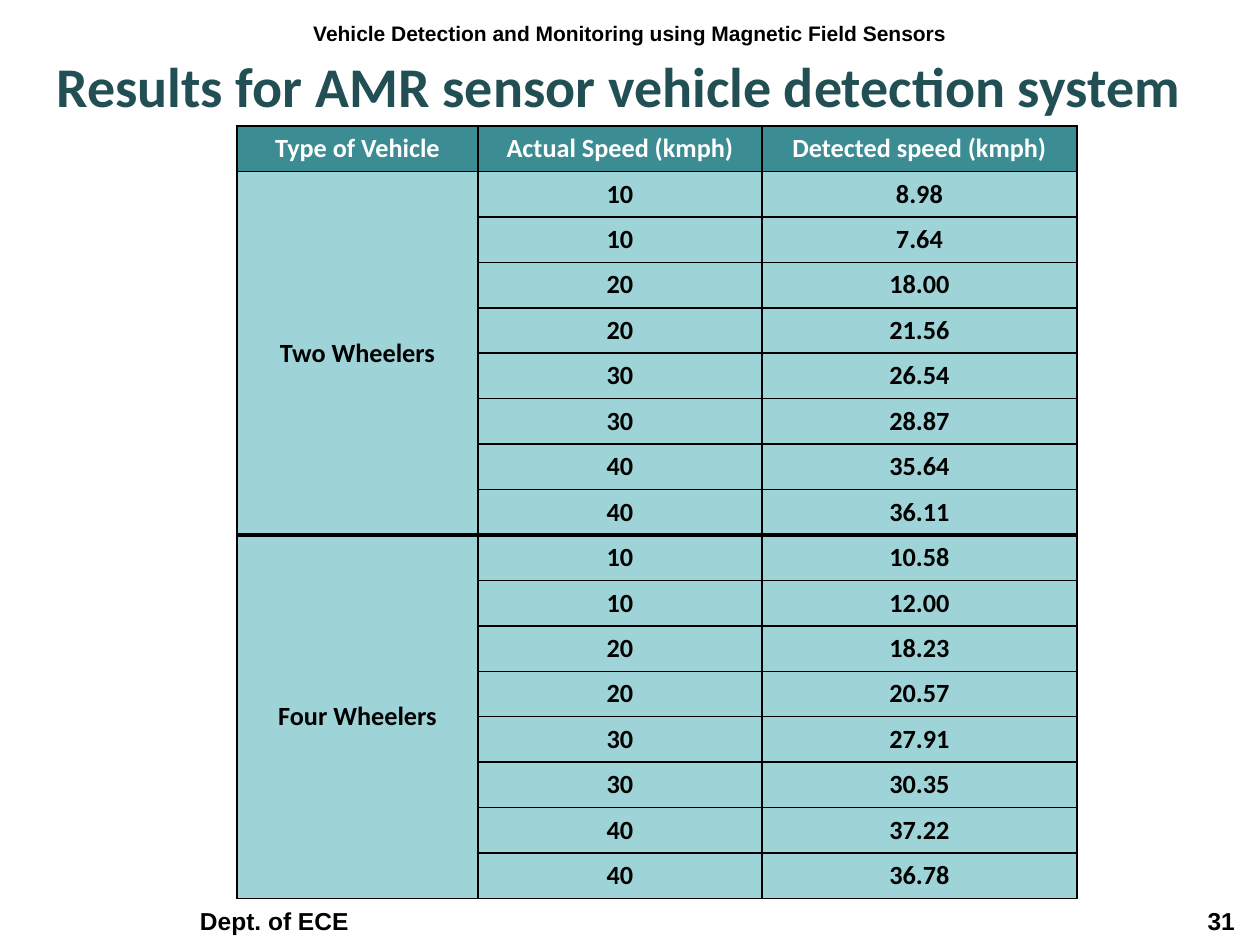
from lxml import etree
from pptx import Presentation
from pptx import util as u
from pptx.dml.color import RGBColor
from pptx.enum import text
from pptx.oxml.ns import qn

SCALE = 914400 // 126
HEADS = ["Type of Vehicle", "Actual Speed (kmph)", "Detected speed (kmph)"]
SPEEDS = [10, 10, 20, 20, 30, 30, 40, 40]
GROUPS = {
    "Two Wheelers": ["8.98", "7.64", "18.00", "21.56", "26.54", "28.87", "35.64", "36.11"],
    "Four Wheelers": ["10.58", "12.00", "18.23", "20.57", "27.91", "30.35", "37.22", "36.78"],
}
WIDTHS = [241, 284, 315]
ROW = 45.46


def px(num):
    return u.Emu(round(num * SCALE))


def color(code):
    return RGBColor.from_string(code)


def write(frame, words, size, face, code, align):
    frame.text = words
    para = frame.paragraphs[0]
    para.alignment = align
    for run in para.runs:
        font = run.font
        font.size, font.name, font.bold = u.Pt(size), face, True
        font.color.rgb = color(code)
    return para


def place(shape, left, top, width, height):
    shape.left, shape.top = px(left), px(top)
    shape.width, shape.height = px(width), px(height)


def add_title(slide):
    title = slide.shapes.title
    place(title, 44, 43, 1187, 84)
    frame = title.text_frame
    frame.word_wrap = True
    frame.auto_size = text.MSO_AUTO_SIZE.NONE
    frame.vertical_anchor = text.MSO_ANCHOR.MIDDLE
    write(frame, "Results for AMR sensor vehicle detection system",
          32, "Calibri", "214F53", text.PP_ALIGN.LEFT)


def add_text(slide, top, words, size, align):
    box = slide.shapes.add_textbox(0, px(top), px(1260), px(50))
    frame = box.text_frame
    frame.word_wrap = True
    return frame, write(frame, words, size, "Arial", "000000", align)


def add_header(slide):
    para = add_text(slide, 14, "Vehicle Detection and Monitoring using Magnetic Field Sensors",
                    12, text.PP_ALIGN.CENTER)[1]
    para.space_before = u.Pt(2.4)


def add_footer(slide):
    frame, para = add_text(slide, 892, "Dept. of ECE\t31", 14, text.PP_ALIGN.LEFT)
    frame.vertical_anchor = text.MSO_ANCHOR.BOTTOM
    frame.margin_left, frame.margin_right = px(200), 0
    tabs = etree.SubElement(para._p.get_or_add_pPr(), qn("a:tabLst"))
    etree.SubElement(tabs, qn("a:tab"), pos=str(px(1035)), algn="r")


def add_edge(cell, side, width):
    line = etree.Element(qn("a:" + side), w=str(u.Pt(width)))
    fill = etree.SubElement(line, qn("a:solidFill"))
    etree.SubElement(fill, qn("a:srgbClr"), val="000000")
    return line


def style(cell, row, heavy):
    cell.fill.solid()
    cell.fill.fore_color.rgb = color("9ED3D7" if row else "3C8C93")
    cell.vertical_anchor = text.MSO_ANCHOR.MIDDLE
    edges = {"lnL": 1, "lnR": 1,
             "lnT": 2.25 if row == heavy + 1 else 1,
             "lnB": 2.25 if row == heavy else 1}
    props = cell._tc.get_or_add_tcPr()
    for spot, (side, width) in enumerate(edges.items()):
        props.insert(spot, add_edge(cell, side, width))


def add_grid(slide):
    step = len(SPEEDS)
    rows = [HEADS]
    for name, found in GROUPS.items():
        for spot, (speed, value) in enumerate(zip(SPEEDS, found)):
            rows.append(["" if spot else name, str(speed), value])
    grid = slide.shapes.add_table(len(rows), len(HEADS), px(237), px(126),
                                  px(sum(WIDTHS)), px(ROW * len(rows))).table
    for col, width in zip(grid.columns, WIDTHS):
        col.width = px(width)
    for row, words in enumerate(rows):
        grid.rows[row].height = px(ROW)
        for col, word in enumerate(words):
            cell = grid.cell(row, col)
            write(cell.text_frame, word, 15, "Calibri",
                  "000000" if row else "FFFFFF", text.PP_ALIGN.CENTER)
            end = step * -(-row // step) if col == 0 else row
            style(cell, row, step if end == step or row > step else step)
    for first in range(1, len(rows), step):
        grid.cell(first, 0).merge(grid.cell(first + step - 1, 0))
        props = grid.cell(first, 0)._tc.tcPr
        if first == 1:
            props.find(qn("a:lnB")).set("w", str(u.Pt(2.25)))


def main():
    deck = Presentation()
    deck.slide_width, deck.slide_height = px(1260), px(945)
    slide = deck.slides.add_slide(deck.slide_layouts[5])
    add_header(slide)
    add_title(slide)
    add_grid(slide)
    add_footer(slide)
    deck.save("out.pptx")


if __name__ == "__main__":
    main()
